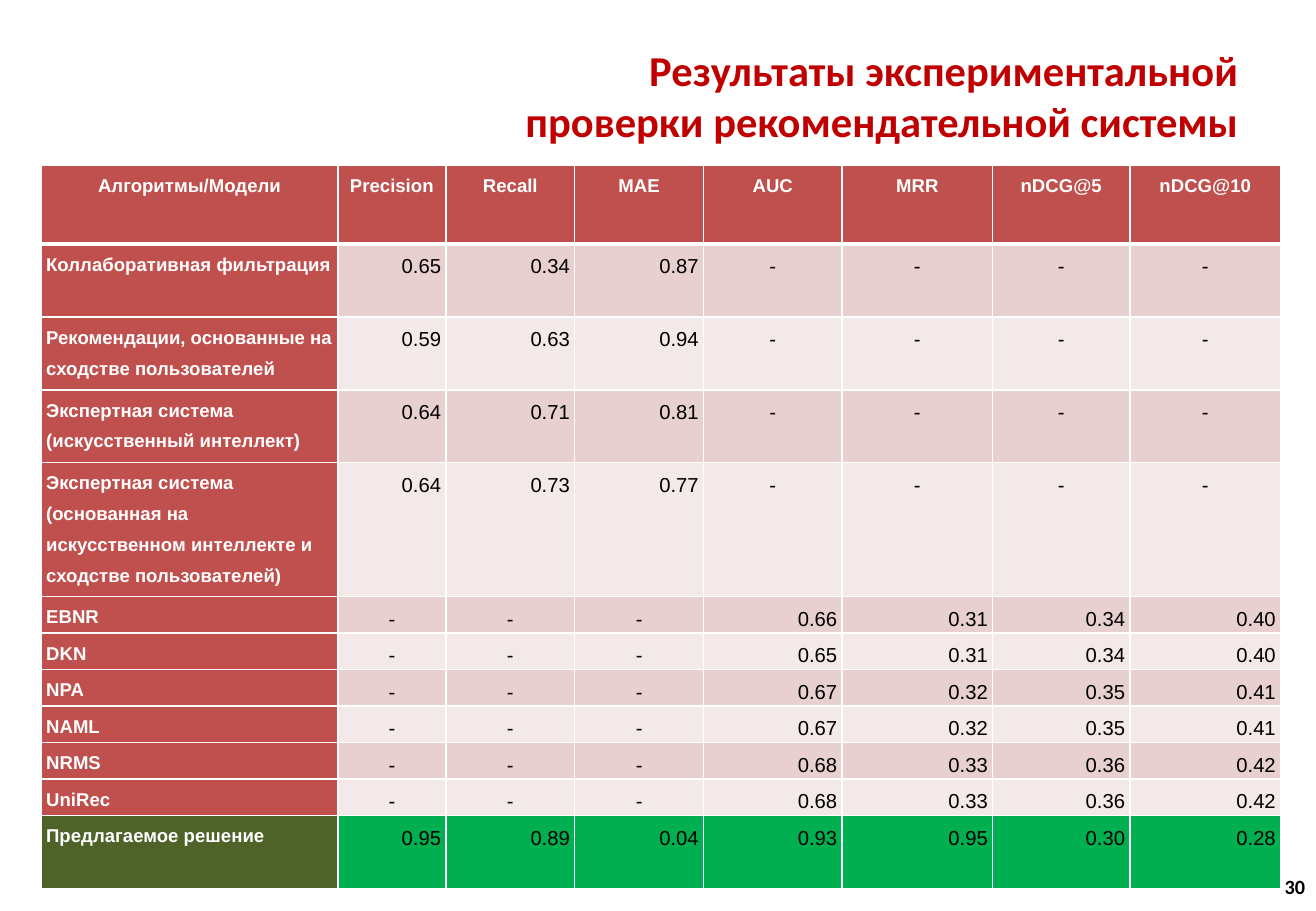
from dataclasses import dataclass

from lxml import etree
from pptx import Presentation
from pptx.dml.color import RGBColor
from pptx.enum.text import MSO_ANCHOR, PP_ALIGN
from pptx.oxml.ns import qn
from pptx.util import Inches, Pt

LEFT, CENTER, RIGHT = PP_ALIGN.LEFT, PP_ALIGN.CENTER, PP_ALIGN.RIGHT
MIDDLE = MSO_ANCHOR.MIDDLE


@dataclass(frozen=True)
class Theme:
    title: str = "C00000"
    black: str = "000000"
    white: str = "FFFFFF"
    header: str = "C0504D"
    bands: tuple = ("E8D0D0", "F4E9E9")
    result_label: str = "4F6228"
    result: str = "00B050"
    title_size: float = 25.2
    label_size: float = 11
    value_size: float = 12
    title_font: str = "Calibri"
    table_font: str = "Arial"


THEME = Theme()

HEADERS = ["Алгоритмы/Модели", "Precision", "Recall", "MAE",
           "AUC", "MRR", "nDCG@5", "nDCG@10"]
DASHES_LEFT = ["-"] * 3
DASHES_RIGHT = ["-"] * 4
RESULTS = [
    ["Коллаборативная фильтрация", "0.65", "0.34", "0.87", *DASHES_RIGHT],
    ["Рекомендации, основанные на сходстве пользователей",
     "0.59", "0.63", "0.94", *DASHES_RIGHT],
    ["Экспертная система (искусственный интеллект)",
     "0.64", "0.71", "0.81", *DASHES_RIGHT],
    ["Экспертная система (основанная на искусственном интеллекте "
     "и сходстве пользователей)", "0.64", "0.73", "0.77", *DASHES_RIGHT],
    ["EBNR", *DASHES_LEFT, "0.66", "0.31", "0.34", "0.40"],
    ["DKN", *DASHES_LEFT, "0.65", "0.31", "0.34", "0.40"],
    ["NPA", *DASHES_LEFT, "0.67", "0.32", "0.35", "0.41"],
    ["NAML", *DASHES_LEFT, "0.67", "0.32", "0.35", "0.41"],
    ["NRMS", *DASHES_LEFT, "0.68", "0.33", "0.36", "0.42"],
    ["UniRec", *DASHES_LEFT, "0.68", "0.33", "0.36", "0.42"],
    ["Предлагаемое решение",
     "0.95", "0.89", "0.04", "0.93", "0.95", "0.30", "0.28"],
]
COLUMN_WIDTHS = [2.44, 0.89, 1.06, 1.06, 1.14, 1.24, 1.13, 1.24]
ROW_HEIGHTS = [0.65] + [0.6] * 3 + [1.06] + [0.29] * 6 + [0.6]


def write_text(frame, text, *, size, color, font, bold=False, align=LEFT, spacing=None):
    para = frame.paragraphs[0]
    para.text = text
    para.alignment = align
    para.line_spacing = spacing
    for span in para.runs:
        span.font.size = Pt(size)
        span.font.name = font
        span.font.bold = bold
        span.font.color.rgb = RGBColor.from_string(color)


def add_text_box(page, left, top, width, height, text, **text_format):
    box = page.shapes.add_textbox(Inches(left), Inches(top), Inches(width), Inches(height))
    box.text_frame.word_wrap = True
    box.text_frame.vertical_anchor = MIDDLE
    write_text(box.text_frame, text, **text_format)


def add_borders(cell, bottom_width):
    properties = cell._tc.get_or_add_tcPr()
    for side, width in (("L", 1), ("R", 1), ("T", 1), ("B", bottom_width)):
        line = etree.SubElement(properties, qn(f"a:ln{side}"), w=str(Pt(width)))
        fill = etree.SubElement(line, qn("a:solidFill"))
        etree.SubElement(fill, qn("a:srgbClr"), val=THEME.white)


def fill_cell(cell, text, *, fill, bottom_width=1, **text_format):
    cell.margin_left = cell.margin_right = Inches(0.04)
    cell.margin_top = cell.margin_bottom = 0
    add_borders(cell, bottom_width)
    cell.fill.solid()
    cell.fill.fore_color.rgb = RGBColor.from_string(fill)
    write_text(cell.text_frame, text, font=THEME.table_font, spacing=1.5, **text_format)


def add_results_table(page, left, top):
    frame = page.shapes.add_table(
        len(ROW_HEIGHTS), len(COLUMN_WIDTHS), Inches(left), Inches(top),
        Inches(sum(COLUMN_WIDTHS)), Inches(sum(ROW_HEIGHTS)))
    table = frame.table
    table.horz_banding = False
    for column, width in zip(table.columns, COLUMN_WIDTHS):
        column.width = Inches(width)
    for row, height in zip(table.rows, ROW_HEIGHTS):
        row.height = Inches(height)

    label = dict(size=THEME.label_size, color=THEME.white, bold=True)
    for column, text in enumerate(HEADERS):
        fill_cell(table.cell(0, column), text, fill=THEME.header,
                  bottom_width=3, align=CENTER, **label)
    for index, (name, *values) in enumerate(RESULTS):
        is_proposed = index == len(RESULTS) - 1
        label_fill = THEME.result_label if is_proposed else THEME.header
        value_fill = THEME.result if is_proposed else THEME.bands[index % 2]
        fill_cell(table.cell(index + 1, 0), name, fill=label_fill, **label)
        for column, value in enumerate(values, 1):
            fill_cell(table.cell(index + 1, column), value, fill=value_fill,
                      size=THEME.value_size, color=THEME.black,
                      align=CENTER if value == "-" else RIGHT)


def main():
    deck = Presentation()
    deck.slide_width, deck.slide_height = Inches(10.83), Inches(7.5)
    page = deck.slides.add_slide(deck.slide_layouts[6])
    heading = dict(font=THEME.title_font, bold=True, align=RIGHT)
    add_text_box(page, 0.54, 0.48, 9.75, 0.61,
                 "Результаты экспериментальной\vпроверки рекомендательной системы",
                 size=THEME.title_size, color=THEME.title, **heading)
    add_text_box(page, 8.31, 7.1, 2.53, 0.4, "30",
                 size=THEME.value_size, color=THEME.black, **heading)
    add_results_table(page, 0.34, 1.36)
    deck.save("out.pptx")


if __name__ == "__main__":
    main()
